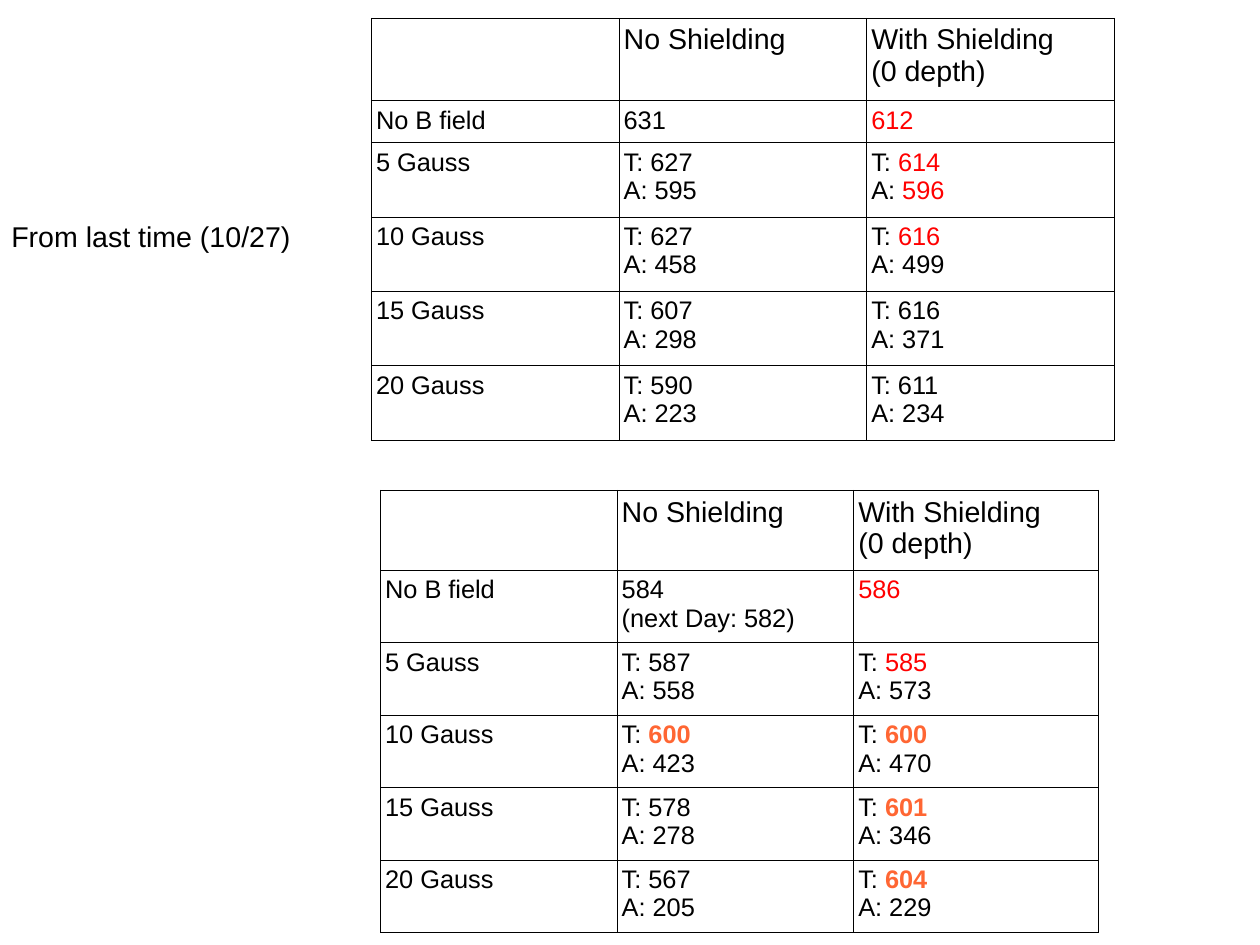
from lxml import etree
from pptx import Presentation
from pptx.dml.color import RGBColor
from pptx.enum.text import MSO_AUTO_SIZE
from pptx.oxml.ns import qn
from pptx.util import Inches, Pt

BLACK = RGBColor(0x00, 0x00, 0x00)
RED = RGBColor(0xFF, 0x00, 0x00)
ORANGE = RGBColor(0xFF, 0x66, 0x33)
FONT = "Arial"
HEADER_SIZE = 18
BODY_SIZE = 16
BORDER_WIDTH = Pt(0.57)
CM_PER_INCH = 2.54
FIT_SHAPE = MSO_AUTO_SIZE.SHAPE_TO_FIT_TEXT

HIGHLIGHTS = {"!": (RED, False), "^": (ORANGE, True)}

HEADER = ["", "No Shielding", "With Shielding\n(0 depth)"]
LAST_TIME = [
    HEADER,
    ["No B field", "631", "!612"],
    ["5 Gauss", "T: 627\nA: 595", "T: !614\nA: !596"],
    ["10 Gauss", "T: 627\nA: 458", "T: !616\nA: 499"],
    ["15 Gauss", "T: 607\nA: 298", "T: 616\nA: 371"],
    ["20 Gauss", "T: 590\nA: 223", "T: 611\nA: 234"],
]
THIS_TIME = [
    HEADER,
    ["No B field", "584\n(next Day: 582)", "!586"],
    ["5 Gauss", "T: 587\nA: 558", "T: !585\nA: 573"],
    ["10 Gauss", "T: ^600\nA: 423", "T: ^600\nA: 470"],
    ["15 Gauss", "T: 578\nA: 278", "T: ^601\nA: 346"],
    ["20 Gauss", "T: 567\nA: 205", "T: ^604\nA: 229"],
]


def add_span(para, text, size, color=BLACK, bold=False):
    span = para.add_run()
    span.text = text
    span.font.name = FONT
    span.font.size = Pt(size)
    span.font.color.rgb = color
    span.font.bold = bold


def write_line(para, line, size):
    for marker, (color, bold) in HIGHLIGHTS.items():
        if marker in line:
            label, value = line.split(marker)
            if label:
                add_span(para, label, size)
            add_span(para, value, size, color, bold)
            return
    if line:
        add_span(para, line, size)


def add_borders(cell):
    properties = cell._tc.get_or_add_tcPr()
    for side in ("a:lnL", "a:lnR", "a:lnT", "a:lnB"):
        border = etree.SubElement(properties, qn(side), w=str(BORDER_WIDTH))
        fill = etree.SubElement(border, qn("a:solidFill"))
        etree.SubElement(fill, qn("a:srgbClr"), val=str(BLACK))


def fill_cell(cell, text, size):
    cell.margin_left = cell.margin_right = Inches(0.04)
    cell.margin_top = cell.margin_bottom = Inches(0.05)
    add_borders(cell)
    cell.fill.background()
    frame = cell.text_frame
    for index, line in enumerate(text.split("\n")):
        para = frame.add_paragraph() if index else frame.paragraphs[0]
        write_line(para, line, size)


def add_readings(page, left, top, widths, heights, readings):
    frame = page.shapes.add_table(
        len(heights), len(widths), Inches(left), Inches(top),
        Inches(sum(widths)), Inches(sum(heights)))
    table = frame.table
    table.first_row = False
    table.horz_banding = False
    for column, width in zip(table.columns, widths):
        column.width = Inches(width)
    for row, height, texts in zip(table.rows, heights, readings):
        row.height = Inches(height)
        size = HEADER_SIZE if texts is HEADER else BODY_SIZE
        for cell, text in zip(row.cells, texts):
            fill_cell(cell, text, size)


def add_label(page, left, top, width, height, text):
    box = page.shapes.add_textbox(
        Inches(left), Inches(top), Inches(width), Inches(height))
    box.text_frame.word_wrap = True
    box.text_frame.auto_size = FIT_SHAPE
    write_line(box.text_frame.paragraphs[0], text, HEADER_SIZE)


def main():
    deck = Presentation()
    deck.slide_width = Inches(28 / CM_PER_INCH)
    deck.slide_height = Inches(21 / CM_PER_INCH)
    page = deck.slides.add_slide(deck.slide_layouts[6])
    add_readings(page, 3.25, 0.16, [6.5 / 3] * 3,
                 [0.72, 0.37] + [0.65] * 4, LAST_TIME)
    add_label(page, 0, 1.87, 2.75, 0.38, "From last time (10/27)")
    add_readings(page, 3.33, 4.29, [2.07, 2.07, 2.14],
                 [0.67] + [0.6] * 5, THIS_TIME)
    deck.save("out.pptx")


if __name__ == "__main__":
    main()
